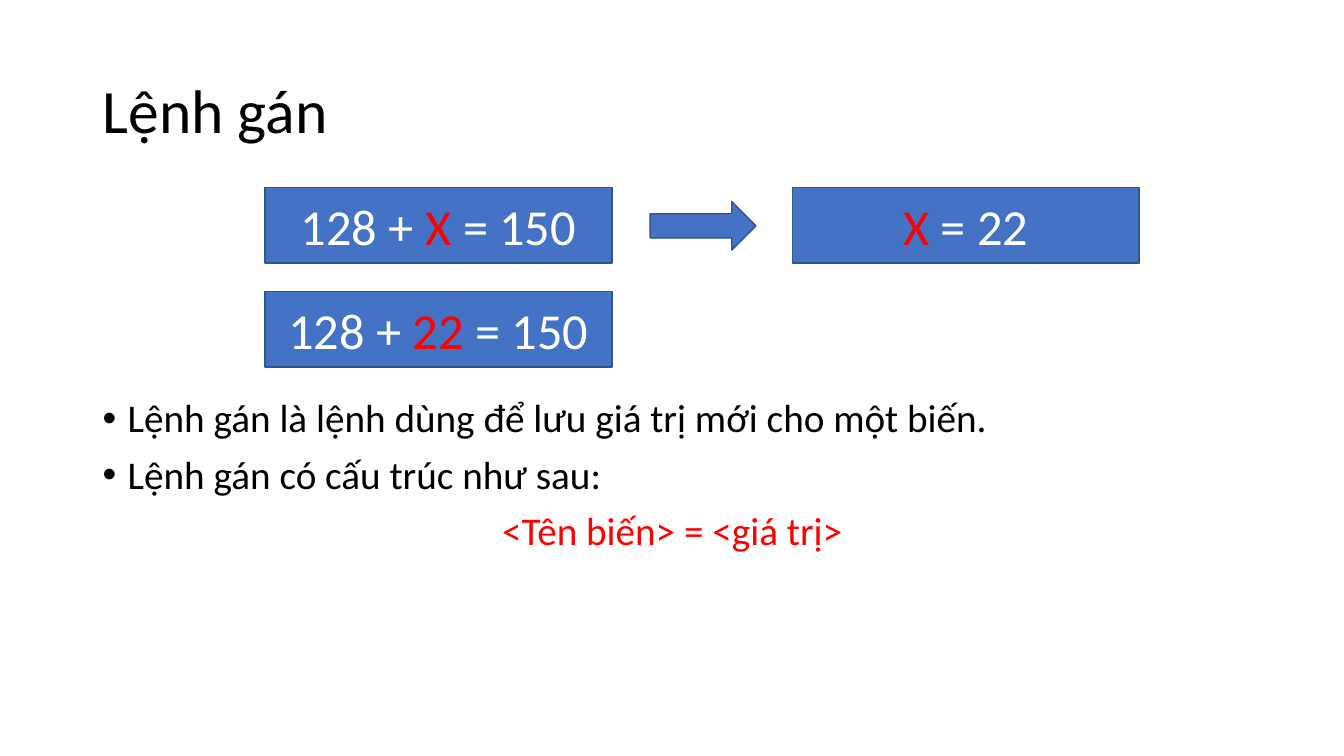
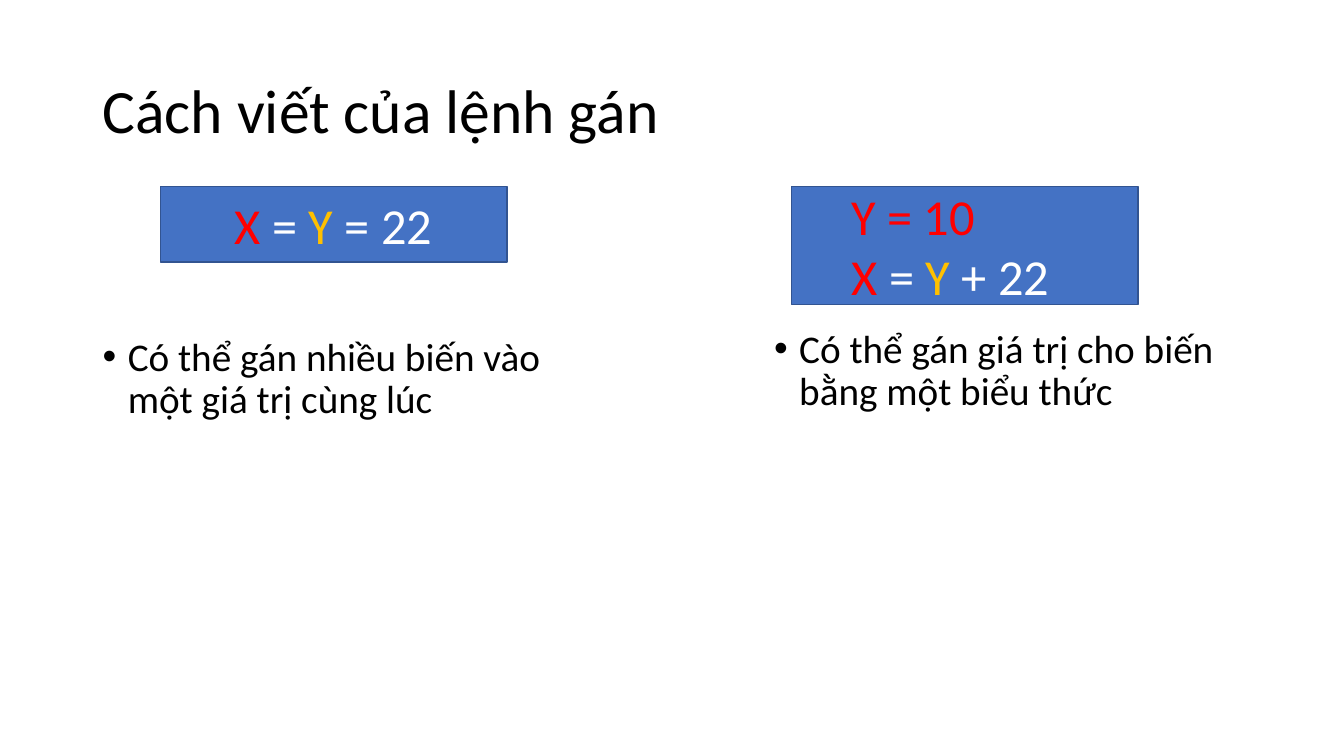
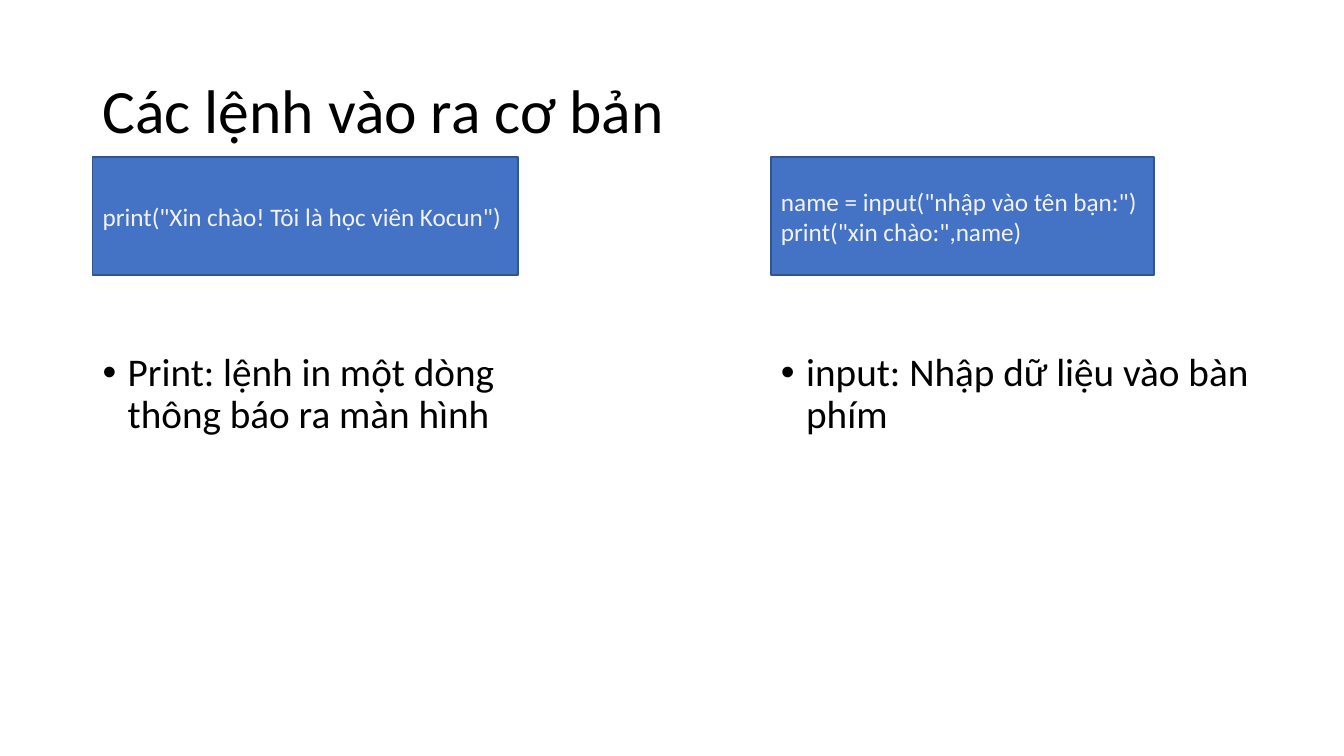
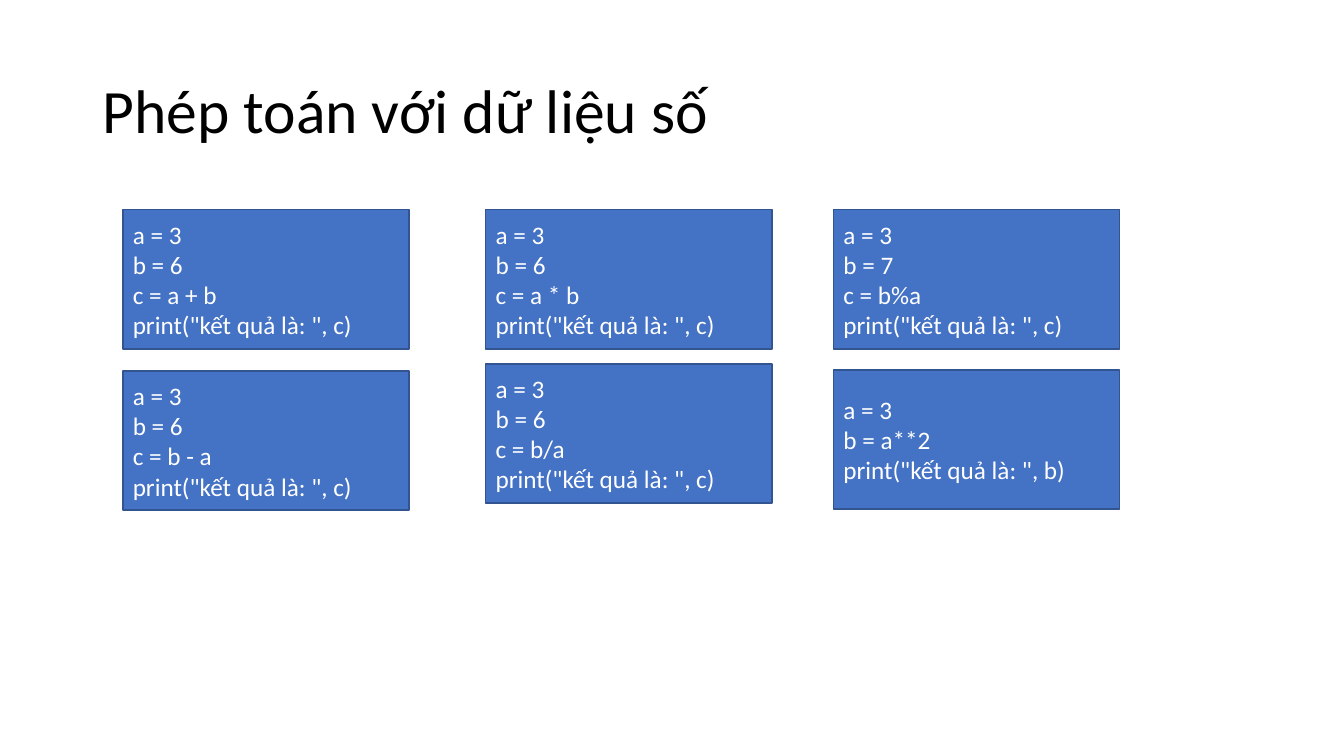
from dataclasses import dataclass

from lxml import etree
from pptx import Presentation
from pptx import util as u
from pptx.dml.color import RGBColor
from pptx.enum import shapes, text
from pptx.oxml import ns

Pt = u.Pt


@dataclass(frozen=True)
class Theme:
    font: str = "Calibri"
    black: str = "000000"
    white: str = "FFFFFF"
    light: str = "F2F2F2"
    red: str = "FF0000"
    gold: str = "FFC000"
    fill: str = "4472C4"
    outline: str = "325491"
    title: int = 44
    equation: int = 36
    body: int = 28
    code: int = 18


T = Theme()
EQ_W, EQ_H = 247.7, 54  # equation box
LEFT = 66.2             # left margin


class Deck:
    def __init__(self):
        self.prs = Presentation()
        self.prs.slide_width, self.prs.slide_height = Pt(960), Pt(540)
        self.s = None

    def slide(self, title):
        self.s = self.prs.slides.add_slide(self.prs.slide_layouts[6])
        tf = self.textbox(LEFT, 28.8, 828, 104.4)
        tf.vertical_anchor = text.MSO_ANCHOR.MIDDLE
        self.paragraphs(tf, [title], T.title, T.black)[0].line_spacing = 0.9

    def textbox(self, x, y, w, h):
        tf = self.s.shapes.add_textbox(Pt(x), Pt(y), Pt(w), Pt(h)).text_frame
        tf.word_wrap = True
        return tf

    def paragraphs(self, tf, lines, size, color):
        """Fill tf; a line is a string or a list of (text, colour) spans."""
        for i, line in enumerate(lines):
            p = tf.add_paragraph() if i else tf.paragraphs[0]
            spans = [(line, color)] if isinstance(line, str) else line
            for words, tint in spans:
                r = p.add_run()
                r.text = words
                r.font.name, r.font.size = T.font, Pt(size)
                r.font.color.rgb = RGBColor.from_string(tint)
        return tf.paragraphs

    def bullets(self, x, y, w, h, lines, formula=None):
        """Bulleted lines, then an optional centred red formula."""
        tf = self.textbox(x, y, w, h)
        extra = [[(formula, T.red)]] if formula else []
        for i, p in enumerate(self.paragraphs(tf, lines + extra, T.body, T.black)):
            p.line_spacing = 0.9
            if i:
                p.space_before = Pt(10)
            if i < len(lines):
                pPr = self.indent(p, 18, -18)
                etree.SubElement(pPr, ns.qn("a:buFont")).set("typeface", "Arial")
                etree.SubElement(pPr, ns.qn("a:buChar")).set("char", "•")
            else:
                p.alignment = text.PP_ALIGN.CENTER

    def indent(self, p, left, first=0):
        pPr = p._p.get_or_add_pPr()
        pPr.set("marL", str(Pt(left)))
        pPr.set("indent", str(Pt(first)))
        return pPr

    def shape(self, kind, x, y, w, h):
        sp = self.s.shapes.add_shape(kind, Pt(x), Pt(y), Pt(w), Pt(h))
        sp.shadow.inherit = False
        sp.fill.solid()
        sp.fill.fore_color.rgb = RGBColor.from_string(T.fill)
        sp.line.color.rgb = RGBColor.from_string(T.outline)
        sp.line.width = Pt(1)
        return sp

    def box(self, x, y, w, h, lines, size, color=T.white,
            align=text.PP_ALIGN.LEFT, left=0):
        tf = self.shape(shapes.MSO_SHAPE.RECTANGLE, x, y, w, h).text_frame
        tf.word_wrap = True
        tf.vertical_anchor = text.MSO_ANCHOR.MIDDLE
        for p in self.paragraphs(tf, lines, size, color):
            p.alignment = align
            if left:
                self.indent(p, left)

    def equation(self, x, y, *spans):
        self.box(x, y, EQ_W, EQ_H, [list(spans)], T.equation,
                 align=text.PP_ALIGN.CENTER)

    def code(self, x, y, w, h, lines, color=T.white):
        self.box(x, y, w, h, lines, T.code, color)

    def arrow(self, x, y, w, h):
        self.shape(shapes.MSO_SHAPE.RIGHT_ARROW, x, y, w, h)


def assignment(d):
    d.slide("Lệnh gán")
    d.bullets(LEFT, 281.5, 828, 205.2,
              ["Lệnh gán là lệnh dùng để lưu giá trị mới cho một biến.",
               "Lệnh gán có cấu trúc như sau:"],
              formula="<Tên biến> = <giá trị>")
    for y, value in ((133.9, "X"), (208.1, "22")):
        d.equation(189.4, y, ("128 + ", T.white), (value, T.red), (" = 150", T.white))
    d.equation(565.9, 133.9, ("X", T.red), (" = 22", T.white))
    d.arrow(464.4, 144, 75.6, 34.6)


def assignment_forms(d):
    d.slide("Cách viết của lệnh gán")
    x_equals_y = [("X", T.red), (" = ", T.white), ("Y", T.gold)]
    d.equation(114.5, 133.2, *x_equals_y, (" = 22", T.white))
    d.box(565.2, 133.2, EQ_W, 84.2,
          [[("Y = 10", T.red)], x_equals_y + [(" + 22", T.white)]],
          T.equation, left=36)
    for x, y, line in (
            (LEFT, 237.6, "Có thể gán nhiều biến vào một giá trị cùng lúc"),
            (545.8, 231.8, "Có thể gán giá trị cho biến bằng một biểu thức")):
        d.bullets(x, y, 375.8, 150.5, [line])


def input_output(d):
    d.slide("Các lệnh vào ra cơ bản")
    for x, w, lines, note in (
            (LEFT, 303.8, ['print("Xin chào! Tôi là học viên Kocun")'],
             "Print: lệnh in một dòng thông báo ra màn hình"),
            (550.8, 273.6, ['name = input("nhập vào tên bạn:")',
                            'print("xin chào:",name)'],
             "input: Nhập dữ liệu vào bàn phím")):
        d.code(x, 112.3, w, 84.2, lines, T.light)
        d.bullets(x, 248.4, 362.9, 238.3, [note])


def arithmetic(d):
    d.slide("Phép toán với dữ liệu số")
    top = 149.8
    for x, y, steps, result in (
            (87.8, top, ["b = 6", "c = a + b"], "c"),
            (87.8, 265, ["b = 6", "c = b - a"], "c"),
            (347, top, ["b = 6", "c = a * b"], "c"),
            (347, 259.9, ["b = 6", "c = b/a"], "c"),
            (595.4, top, ["b = 7", "c = b%a"], "c"),
            (595.4, 264.2, ["b = a**2"], "b")):
        d.code(x, y, 204.5, 99.4,
               ["a = 3", *steps, f'print("kết quả là: ", {result})'])


def main():
    d = Deck()
    for build in (assignment, assignment_forms, input_output, arithmetic):
        build(d)
    d.prs.save("out.pptx")


if __name__ == "__main__":
    main()
